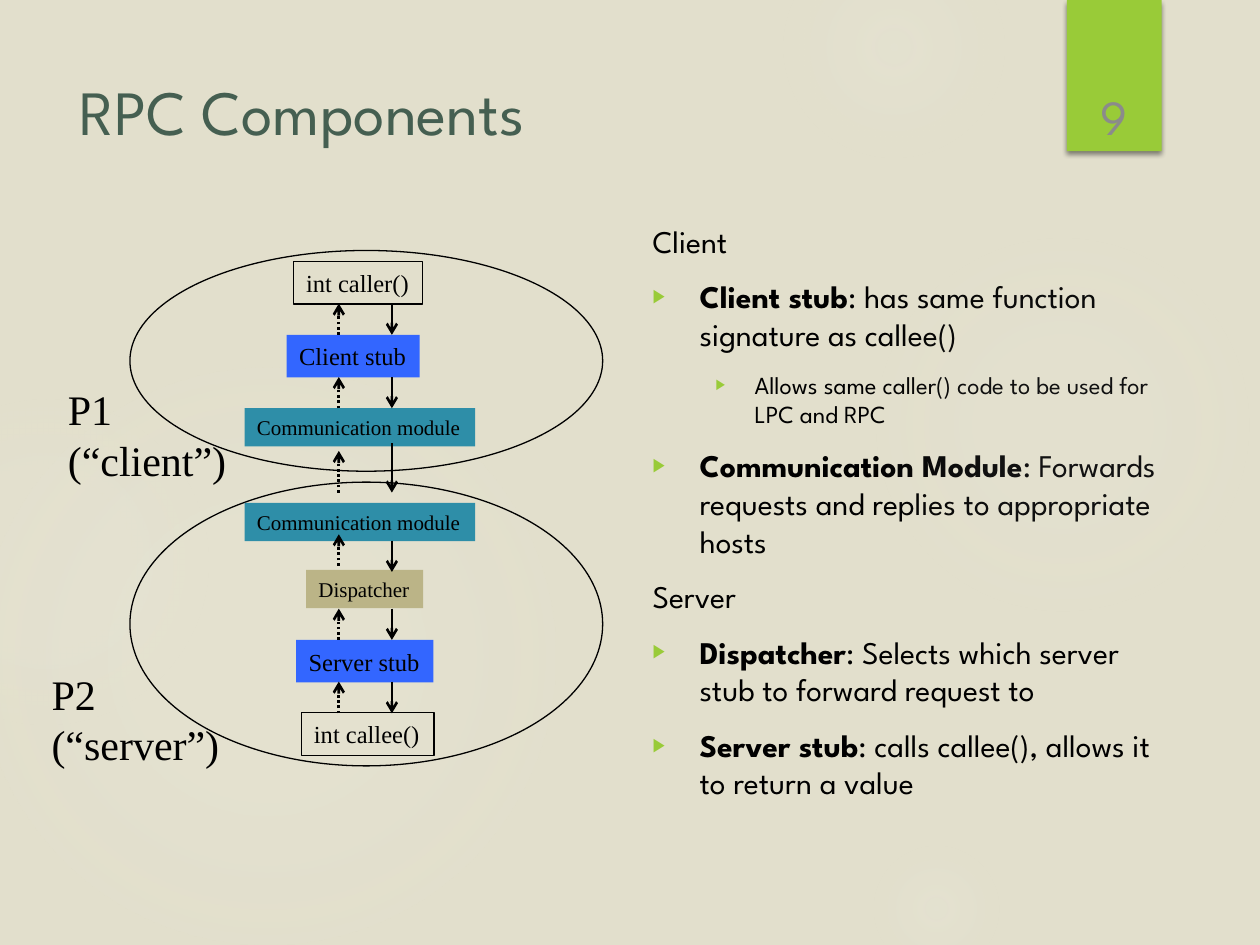
import pptx
import pptx.dml.color
import pptx.enum.dml
import pptx.enum.shapes
import pptx.enum.text
import pptx.oxml
import pptx.oxml.ns
import pptx.util

Cm, Pt = pptx.util.Cm, pptx.util.Pt
SHAPE = pptx.enum.shapes.MSO_SHAPE
ANCHOR = pptx.enum.text.MSO_ANCHOR
ALIGN = pptx.enum.text.PP_ALIGN
SANS, SERIF = "League Spartan", "Times New Roman"
BLACK, LIME, BLUE, TEAL, TAN = "000000", "99CB38", "3366FF", "2E8EA8", "BBB487"

HALOS = [
    (17.5, 4.65, 7.82, [(0, 7), (36, 6), (69, 0)]),
    (15.8, -1.27, 4.45, [(0, 14), (36, 7), (73, 0)]),
    (17.5, 16.94, 2.74, [(0, 14), (36, 7), (66, 0)]),
    (-0.43, 7.42, 11.63, [(0, 11), (36, 10), (75, 0)]),
    (-2.34, 8.05, 6.55, [(0, 8), (36, 8), (72, 0)]),
]
BODY = [
    (None, "", "Client"),
    (0, "Client stub", ": has same function signature as callee()"),
    (1, "", "Allows same caller() code to be used for LPC and RPC"),
    (0, "Communication Module", ": Forwards requests and replies to appropriate hosts"),
    (None, "", "Server"),
    (0, "Dispatcher", ": Selects which server stub to forward request to"),
    (0, "Server stub", ": calls callee(), allows it to return a value"),
]
LEVELS = {None: (0, 0, 18), 0: (0.95, -0.95, 18), 1: (2.06, -0.79, 14)}
PROCESSES = [
    (5.05, 4.45, "P1\n(“client”)", 1.12, 7.6, 3.71),
    (9.72, 5.72, "P2\n(“server”)", 0.79, 13.33, 3.94),
]
MODULES = [
    ("int caller()", 5.92, 5.27, 2.6, 14, None),
    ("Client stub", 5.78, 6.75, 2.68, 14, BLUE),
    ("Communication module", 4.93, 8.23, 4.65, 12, TEAL),
    ("Communication module", 4.93, 10.14, 4.65, 12, TEAL),
    ("Dispatcher", 6.17, 11.49, 2.36, 12, TAN),
    ("Server stub", 5.97, 12.9, 2.77, 14, BLUE),
    ("int callee()", 6.08, 14.37, 2.67, 14, None),
]
BOX_HEIGHTS = {14: 0.86, 12: 0.77}
CALLS = [(6.12, 6.75), (7.6, 8.23), (8.94, 9.93), (10.9, 11.53), (12.27, 12.9), (13.74, 14.38)]
REPLIES = [(14.38, 13.74), (12.9, 12.27), (11.4, 10.77), (9.93, 9.09), (8.23, 7.6), (6.75, 6.12)]
CALL_X, REPLY_X = 7.9, 6.83


def rgb(value):
    return pptx.dml.color.RGBColor.from_string(value)


def xml(tag, attrs="", inner=""):
    ns = pptx.oxml.ns.nsdecls("a")
    return pptx.oxml.parse_xml(f"<a:{tag} {ns} {attrs}>{inner}</a:{tag}>")


def style(p, size, font=SERIF, color=BLACK):
    for r in p.runs:
        r.font.size, r.font.name = Pt(size), font
        r.font.color.rgb = rgb(color)


def place(sp, x, y, w, h):
    sp.left, sp.top, sp.width, sp.height = Cm(x), Cm(y), Cm(w), Cm(h)


def add_shape(kind, x, y, w, h, fill=None, line=None):
    sp = slide.shapes.add_shape(kind, Cm(x), Cm(y), Cm(w), Cm(h))
    sp.shadow.inherit = False
    if fill:
        sp.fill.solid()
        sp.fill.fore_color.rgb = rgb(fill)
    else:
        sp.fill.background()
    if line:
        sp.line.color.rgb = rgb(line)
        sp.line.width = Pt(0.75)
    else:
        sp.line.fill.background()
    return sp


def write(sp, text, size):
    tf = sp.text_frame
    tf.text = text
    tf.word_wrap = False
    tf.vertical_anchor = ANCHOR.MIDDLE
    for p in tf.paragraphs:
        p.alignment = ALIGN.LEFT
        style(p, size)


def add_halo(x, y, size, stops):
    sp = add_shape(SHAPE.OVAL, x, y, size, size)
    gs = "".join(
        f'<a:gs pos="{pos * 1000}"><a:srgbClr val="F3F2EB">'
        f'<a:alpha val="{alpha * 1000}"/></a:srgbClr></a:gs>'
        for pos, alpha in stops
    )
    path = ('<a:path path="circle"><a:fillToRect l="50000" t="50000" '
            'r="50000" b="50000"/></a:path>')
    spPr = sp._element.spPr
    spPr.replace(spPr.find(pptx.oxml.ns.qn("a:noFill")),
                 xml("gradFill", "", f"<a:gsLst>{gs}</a:gsLst>{path}"))


def add_arrow(x, start, end, dash=None):
    c = slide.shapes.add_connector(
        pptx.enum.shapes.MSO_CONNECTOR.STRAIGHT, Cm(x), Cm(start), Cm(x), Cm(end))
    c.line.color.rgb = rgb(BLACK)
    c.line.width = Pt(1.5)
    if dash:
        c.line.dash_style = dash
    spPr = c._element.spPr
    spPr.find(pptx.oxml.ns.qn("a:ln")).append(xml("tailEnd", 'type="arrow"'))
    spPr.append(xml("effectLst"))


def add_item(p, level, lead, rest):
    margin, indent, size = LEVELS[level]
    p.level = level or 0
    p.space_before = Pt(10)
    for text, bold in ((lead, True), (rest, False)):
        if text:
            r = p.add_run()
            r.text = text
            r.font.bold = bold
    style(p, size, SANS)
    pPr = p._p.get_or_add_pPr()
    pPr.set("marL", str(Cm(margin)))
    pPr.set("indent", str(Cm(indent)))
    if level is None:
        pPr.append(xml("buNone"))
    else:
        pPr.append(xml("buClr", "", f'<a:srgbClr val="{LIME}"/>'))
        pPr.append(xml("buSzPct", 'val="60000"'))
        pPr.append(xml("buChar", 'char="▶"'))


prs = pptx.Presentation()
prs.slide_width, prs.slide_height = Cm(25.4), Cm(19.05)
slide = prs.slides.add_slide(prs.slide_layouts[1])
slide.background.fill.solid()
slide.background.fill.fore_color.rgb = rgb("E2DFCC")
title, body = slide.placeholders

for halo in HALOS:
    add_halo(*halo)

tab = add_shape(SHAPE.RECTANGLE, 21.51, 0, 1.91, 3.05, LIME)
effects = tab._element.spPr.find(pptx.oxml.ns.qn("a:effectLst"))
effects.append(xml(
    "outerShdw", f'blurRad="{Pt(3)}" dist="{Pt(2)}" dir="5400000" rotWithShape="0"',
    '<a:srgbClr val="000000"><a:alpha val="45000"/></a:srgbClr>'))
tf = tab.text_frame
tf.text = "9"
tf.vertical_anchor = ANCHOR.BOTTOM
tf.paragraphs[0].alignment = ALIGN.CENTER
style(tf.paragraphs[0], 28, SANS, "8B8B8B")

place(title, 1.35, 1.27, 19.61, 1.91)
tf = title.text_frame
tf.text = "RPC Components"
tf.vertical_anchor = ANCHOR.MIDDLE
tf.paragraphs[0].alignment = ALIGN.LEFT
style(tf.paragraphs[0], 36, SANS, "455F51")

place(body, 12.9, 4.34, 10.69, 12.47)
tf = body.text_frame
tf.auto_size = pptx.enum.text.MSO_AUTO_SIZE.NONE
tf.vertical_anchor = ANCHOR.TOP
for i, item in enumerate(BODY):
    add_item(tf.add_paragraph() if i else tf.paragraphs[0], *item)

for top, height, label, x, y, width in PROCESSES:
    add_shape(SHAPE.OVAL, 2.62, top, 9.53, height, line=BLACK)
    write(slide.shapes.add_textbox(Cm(x), Cm(y), Cm(width), Cm(2.31)), label, 24)

for text, x, y, width, size, fill in MODULES:
    sp = add_shape(SHAPE.RECTANGLE, x, y, width, BOX_HEIGHTS[size], fill,
                   None if fill else BLACK)
    write(sp, text, size)

for start, end in CALLS:
    add_arrow(CALL_X, start, end)
for start, end in REPLIES:
    add_arrow(REPLY_X, start, end, pptx.enum.dml.MSO_LINE.ROUND_DOT)

prs.save("out.pptx")
